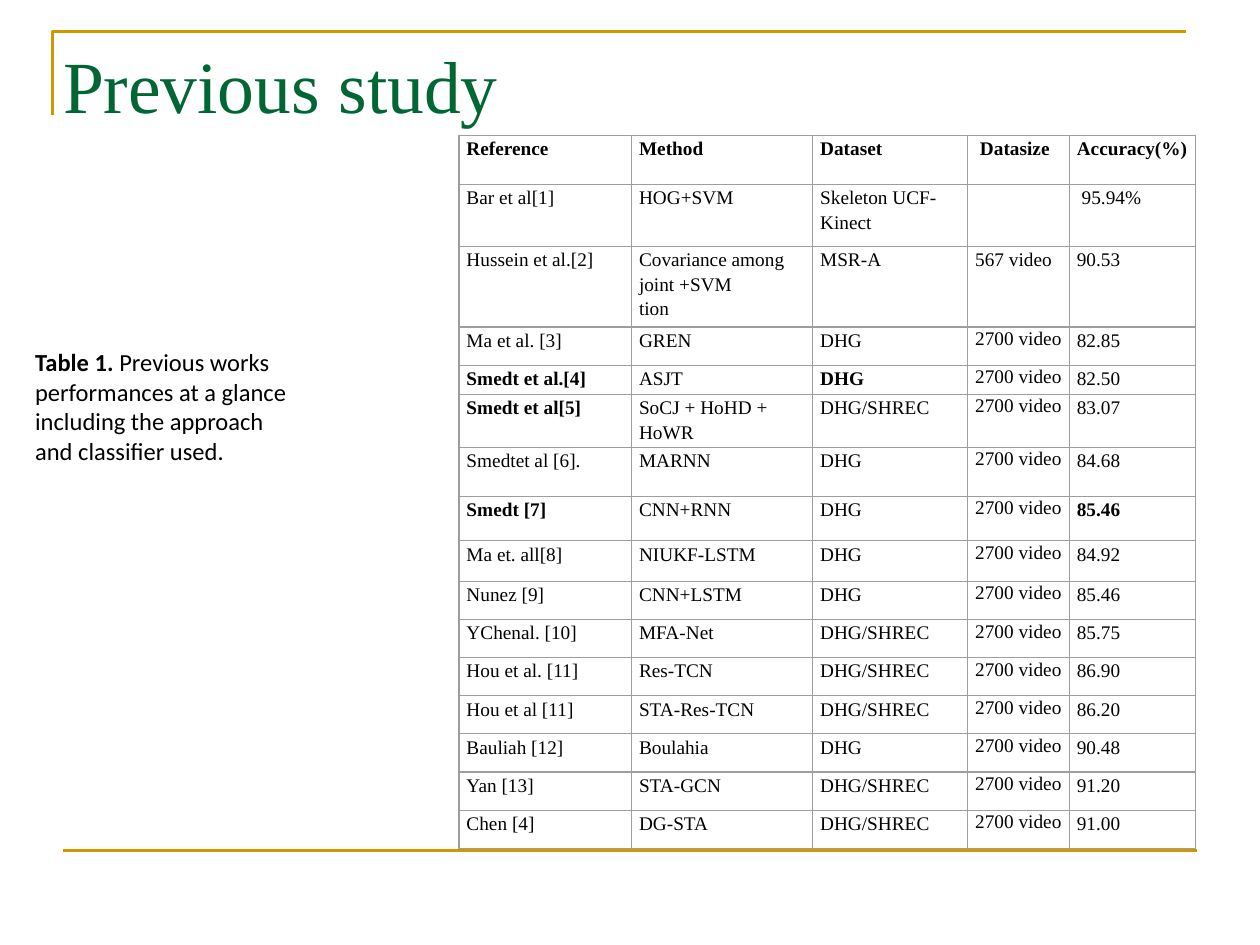
"""Build the "Previous study" slide with its table of earlier results."""
from lxml.etree import SubElement
from pptx import Presentation
from pptx.dml.color import RGBColor
from pptx.enum.shapes import MSO_CONNECTOR
from pptx.enum.text import MSO_ANCHOR, PP_ALIGN
from pptx.oxml.ns import qn
from pptx.util import Pt

SERIF = "Times New Roman"
GOLD, GREEN, BLACK, GREY = "CC9900", "006633", "000000", "9E9E9E"


def paint(color_format, hex_color):
    color_format.rgb = RGBColor.from_string(hex_color)


def style(paragraph, name, size, hex_color, bold=None):
    font = paragraph.font
    font.name, font.size, font.bold = name, Pt(size), bold
    paint(font.color, hex_color)


prs = Presentation()
prs.slide_width, prs.slide_height = Pt(720), Pt(540)
slide = prs.slides.add_slide(prs.slide_layouts[5])

title = slide.shapes.title
title.left, title.top, title.width, title.height = Pt(28.8), Pt(17.3), Pt(671), Pt(59.8)
title.text_frame.text = "Previous study"
title.text_frame.vertical_anchor = MSO_ANCHOR.BOTTOM
heading = title.text_frame.paragraphs[0]
heading.alignment = PP_ALIGN.LEFT
style(heading, SERIF, 42, GREEN)

outline = slide.shapes.build_freeform(Pt(30), Pt(66))
outline.add_line_segments([(Pt(30), Pt(18)), (Pt(678), Pt(18))], close=False)
corner = outline.convert_to_shape()
corner.fill.background()
corner.shadow.inherit = False
footer_rule = slide.shapes.add_connector(
    MSO_CONNECTOR.STRAIGHT, Pt(36), Pt(486), Pt(684), Pt(486))
SubElement(footer_rule._element.spPr, qn("a:effectLst"))
for rule in (corner, footer_rule):
    paint(rule.line.fill.fore_color if rule.line.fill.solid() else rule.line.color, GOLD)
    rule.line.width = Pt(1.5)

caption = slide.shapes.add_textbox(Pt(13), Pt(195), Pt(168.5), Pt(75))
caption.text_frame.word_wrap = True
sentence = caption.text_frame.paragraphs[0]
style(sentence, "Calibri", 14, BLACK)
label = sentence.add_run()
label.text = "Table 1. "
label.font.bold = True
sentence.add_run().text = (
    "Previous works performances at a glance including the approach and classifier used.")

VIDEOS = "2700 video"
studies = [
    ("Reference", "Method", "Dataset", " Datasize", "Accuracy(%)"),
    ("Bar et al[1]", "HOG+SVM", "Skeleton UCF-Kinect", "", " 95.94%"),
    ("Hussein et al.[2]", "Covariance among joint +SVM\vtion", "MSR-A", "567 video", "90.53"),
    ("Ma et al. [3]", "GREN", "DHG", VIDEOS, "82.85"),
    ("Smedt et al.[4]", "ASJT", "DHG", VIDEOS, "82.50"),
    ("Smedt et al[5]", "SoCJ + HoHD + HoWR", "DHG/SHREC", VIDEOS, "83.07"),
    ("Smedtet al [6].", "MARNN", "DHG", VIDEOS, "84.68"),
    ("Smedt [7]", "CNN+RNN", "DHG", VIDEOS, "85.46"),
    ("Ma et. all[8]", "NIUKF-LSTM", "DHG", VIDEOS, "84.92"),
    ("Nunez [9]", "CNN+LSTM", "DHG", VIDEOS, "85.46"),
    ("YChenal. [10]", "MFA-Net", "DHG/SHREC", VIDEOS, "85.75"),
    ("Hou et al. [11]", "Res-TCN", "DHG/SHREC", VIDEOS, "86.90"),
    ("Hou et al [11]", "STA-Res-TCN", "DHG/SHREC", VIDEOS, "86.20"),
    ("Bauliah [12]", "Boulahia", "DHG", VIDEOS, "90.48"),
    ("Yan [13]", "STA-GCN", "DHG/SHREC", VIDEOS, "91.20"),
    ("Chen [4]", "DG-STA", "DHG/SHREC", VIDEOS, "91.00"),
]
bold_cells = {(4, 0), (4, 2), (5, 0), (7, 0), (7, 4)}
column_widths = [98.6, 103.5, 88.6, 58.1, 72]
row_heights = [28, 35.4, 46.2, 21.8, 16.6, 28, 28, 25.4, 23.2] + [21.8] * 7

results = slide.shapes.add_table(
    len(studies), len(column_widths), Pt(262.3), Pt(77.3),
    Pt(sum(column_widths)), Pt(sum(row_heights))).table
results.first_row = results.horz_banding = False
for column, width in zip(results.columns, column_widths):
    column.width = Pt(width)

for r, (study, height) in enumerate(zip(studies, row_heights)):
    results.rows[r].height = Pt(height)
    for c, value in enumerate(study):
        cell = results.cell(r, c)
        cell.margin_left = cell.margin_right = Pt(4.3)
        cell.margin_top = cell.margin_bottom = 0
        cell.text = value
        entry = cell.text_frame.paragraphs[0]
        entry.line_spacing = 1.15
        if value == VIDEOS:
            entry.alignment, entry.line_spacing = PP_ALIGN.JUSTIFY, 1.07
        if c == 4 and r != 1:
            entry.space_after = Pt(10)
        style(entry, SERIF, 11, BLACK, r == 0 or (r, c) in bold_cells)
        properties = cell._tc.get_or_add_tcPr()
        for side in ("a:lnL", "a:lnR", "a:lnT", "a:lnB"):
            border = SubElement(properties, qn(side), w=str(Pt(0.75)))
            SubElement(SubElement(border, qn("a:solidFill")), qn("a:srgbClr"), val=GREY)
        cell.fill.background()

prs.save("out.pptx")
